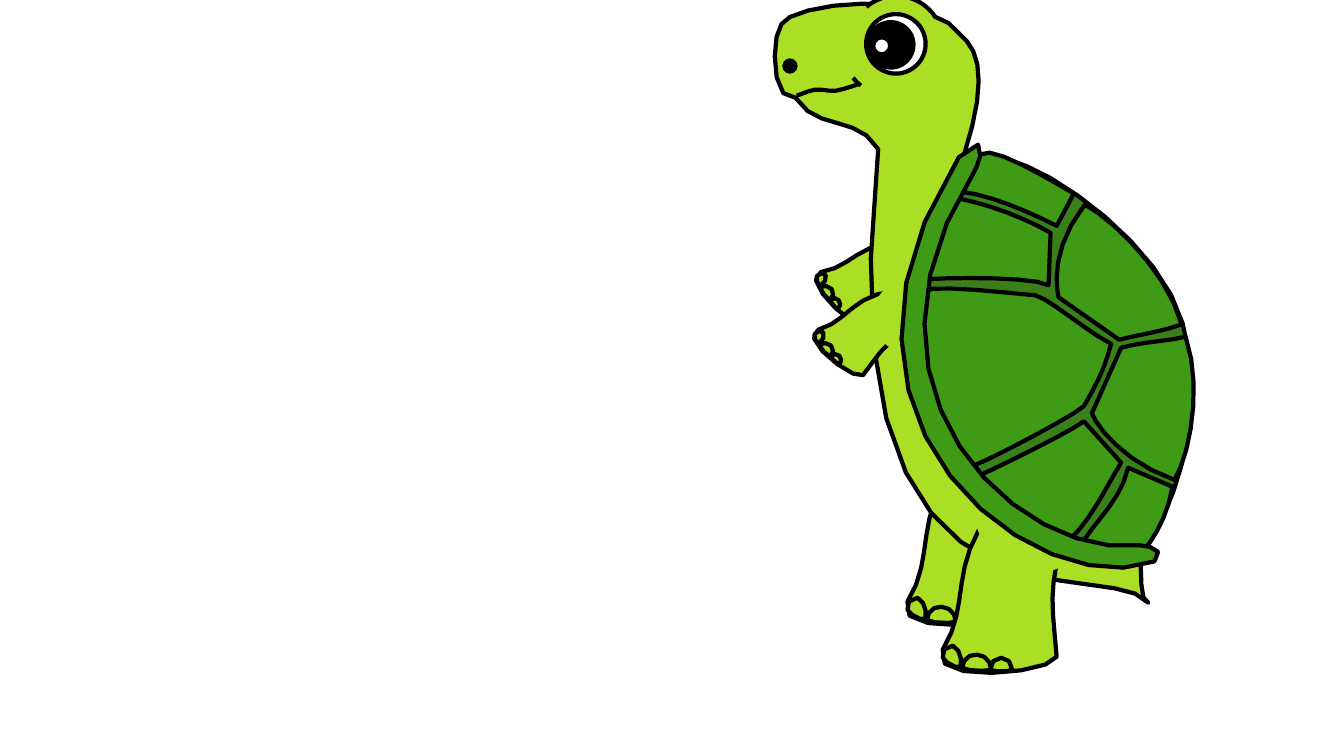
import dataclasses
import math
import typing

import pptx
import pptx.dml.color
import pptx.enum.shapes
import pptx.shapes.base
import pptx.shapes.group
import pptx.util

COLUMNS, ROWS = 1333, 750
CELL = pptx.util.Inches(0.01)
CURVE_COARSENESS = 1.7
ELLIPSE = pptx.enum.shapes.MSO_SHAPE.OVAL
ARC = pptx.enum.shapes.MSO_SHAPE.ARC

Point = tuple[float, float]


@dataclasses.dataclass(frozen=True)
class Theme:
    skin: str = "ABDF25"
    shell: str = "3F9B16"
    seam: str = "3A801A"
    ink: str = "000000"
    white: str = "FFFFFF"
    outline: float = 3


THEME = Theme()


@dataclasses.dataclass(frozen=True)
class Pose:
    right: float = 0
    down: float = 0
    turn: float = 0
    pivot: Point = (0, 0)

    def place(self, point: Point) -> Point:
        angle = math.radians(self.turn)
        x, y = point[0] - self.pivot[0], point[1] - self.pivot[1]
        return (
            self.pivot[0] + self.right + x * math.cos(angle) - y * math.sin(angle),
            self.pivot[1] + self.down + x * math.sin(angle) + y * math.cos(angle),
        )


@dataclasses.dataclass(frozen=True)
class Outline:
    segments: str
    fill: typing.Optional[str] = THEME.skin
    closed: bool = True


@dataclasses.dataclass(frozen=True)
class Preset:
    kind: pptx.enum.shapes.MSO_SHAPE
    column: float
    row: float
    width: float
    height: float
    fill: typing.Optional[str] = THEME.skin
    outlined: bool = True
    rotation: float = 0
    adjustments: tuple[float, ...] = ()


Part = typing.Union[Outline, Preset]

ARM = [
    Outline("877 242; 916 235 909 251 929 264; 922 270; 876 292 877 295 853 320; "
            "844 325 793 276 814 270; 840 266 849 247 877 242"),
    Outline("823 298; 826 295 830 295 832 298; 834 300 834 305 831 307; 830 307 823 299 823 298"),
    Outline("813 285; 817 283 822 283 825 287; 827 290 827 295 823 298; 821 298 813 287 813 285"),
    Outline("810 274; 811 272 818 269 819 273; 820 277 818 281 813 284; 811 284 809 275 810 274"),
]

LEG = [
    Outline("936 478; 974 419 986 446 1028 435; 1028 452; 1003 540 1008 542 1013 604; "
            "1008 621 883 632 900 597; 925 557 910 523 936 478"),
    Outline("947 617; 947 610 952 605 958 605; 964 605 969 610 969 617; 968 619 949 619 947 617"),
    Outline("919 615; 920 607 926 601 934 602; 942 602 948 609 948 617; 945 619 921 618 919 615"),
    Outline("900 605; 898 602 903 590 910 593; 917 597 919 605 918 614; 915 617 901 609 900 605"),
]

HEAD_AND_BODY = [
    Outline("775 24; 782 5 922 -17 959 41; 974 58 976 92 956 154; 890 339 1082 380 1112 454; "
            "1143 528 1123 594 1139 598; 1099 547 814 666 871 148; 851 113 810 131 789 97; "
            "764 102 765 36 775 24"),
    Preset(ARC, 843, -4, 92, 92, rotation=325.8, adjustments=(158.34, 1.49)),
    Preset(ELLIPSE, 859, 14, 59, 59, THEME.white),
    Preset(ELLIPSE, 778, 60, 11, 11, THEME.ink),
    Outline("790 95; 796 93 802 90 808 89; 815 88 822 91 829 90; 836 89 847 85 850 84; 851 83",
            None, False),
    Preset(ARC, 841, 31, 59, 59, None, rotation=145.7, adjustments=(203.25, 0)),
]

PUPIL = [Preset(ELLIPSE, 861, 22, 45, 45, THEME.ink)]

JOINTS = [
    Preset(ELLIPSE, 866, 280, 59, 68, outlined=False),
    Preset(ELLIPSE, 985, 481, 59, 101, outlined=False, rotation=298.3),
]

SHELL_BASE = [
    Outline("983 158; 1017 148 1150 236 1173 321; 1197 406 1165 510 1135 539; "
            "1074 567 963 521 925 398; 886 275 948 168 983 158", THEME.seam),
]

SHELL_PLATES = [
    Outline(segments, THEME.shell)
    for segments in (
        "1076 203; 1103 217 1159 271 1172 322; 1152 329 1130 332 1110 337; 1050 295; "
        "1047 283 1043 245 1076 203",
        "1165 476; 1180 451 1193 384 1176 334; 1156 339 1132 339 1112 345; 1083 410; "
        "1087 422 1115 459 1165 476",
        "973 153; 983 143 1041 178 1065 192; 1048 224; 1020 210 984 194 953 190; "
        "955 185 953 166 973 153",
        "951 197; 982 203 1018 217 1042 231; 1040 283; 1028 275 949 275 921 277; "
        "919 271 932 210 951 197",
        "1075 403; 1090 377 1096 364 1102 341; 1079 330 1042 297 1027 293; "
        "1012 292 921 281 917 289; 910 343 916 409 959 464; 961 467 1063 414 1075 403",
        "1059 537; 1082 517 1097 483 1112 459; 1075 418; 1064 427 997 460 971 472; "
        "973 478 1035 536 1059 537",
        "1136 544; 1145 533 1158 512 1163 483; 1119 464; 1112 495 1090 513 1073 539; "
        "1078 541 1114 551 1136 544",
    )
]

SHELL_RIM = [
    Outline("951 156; 982 124 972 162 968 167; 826 389 1013 556 1130 541; "
            "1138 541 1158 545 1145 557; 1032 600 782 421 951 156", THEME.shell),
]

GLINT = [Preset(ELLIPSE, 866, 37, 17, 17, THEME.white)]

STILL = Pose()
FRONT_LEG = Pose(right=35, down=47.5)
FRONT_ARM = Pose(right=-3, down=51, turn=-6.9, pivot=(866.5, 271))

LAYERS: list[tuple[list[Part], Pose]] = [
    (ARM, STILL),
    (LEG, STILL),
    (HEAD_AND_BODY, STILL),
    (LEG, FRONT_LEG),
    (PUPIL, STILL),
    (ARM, FRONT_ARM),
    (JOINTS + SHELL_BASE + SHELL_PLATES + SHELL_RIM + GLINT, STILL),
]


def trace(segments: str) -> list[Point]:
    points: list[Point] = []
    for segment in segments.split(";"):
        numbers = [float(number) for number in segment.split()]
        pairs = list(zip(numbers[::2], numbers[1::2]))
        if len(pairs) == 1:
            points.append(pairs[0])
            continue
        controls = [points[-1], *pairs]
        chord = math.dist(controls[0], controls[-1])
        steps = max(2, round(math.sqrt(chord) / CURVE_COARSENESS))
        for step in range(1, steps + 1):
            t = step / steps
            weights = [math.comb(3, k) * t**k * (1 - t) ** (3 - k) for k in range(4)]
            points.append((
                sum(weight * control[0] for weight, control in zip(weights, controls)),
                sum(weight * control[1] for weight, control in zip(weights, controls)),
            ))
    return points


def paint(shape: pptx.shapes.base.BaseShape, fill: typing.Optional[str], outlined: bool) -> None:
    shape.shadow.inherit = False
    if fill is None:
        shape.fill.background()
    else:
        shape.fill.solid()
        shape.fill.fore_color.rgb = pptx.dml.color.RGBColor.from_string(fill)
    if outlined:
        shape.line.color.rgb = pptx.dml.color.RGBColor.from_string(THEME.ink)
        shape.line.width = pptx.util.Pt(THEME.outline)
    else:
        shape.line.fill.background()


def draw_outline(group: pptx.shapes.group.GroupShape, outline: Outline, pose: Pose) -> None:
    places = [pose.place(point) for point in trace(outline.segments)]
    points = [(round(x * CELL), round(y * CELL)) for x, y in places]
    builder = group.shapes.build_freeform(*points[0])
    builder.add_line_segments(points[1:], close=outline.closed)
    paint(builder.convert_to_shape(), outline.fill, True)


def draw_preset(group: pptx.shapes.group.GroupShape, preset: Preset) -> None:
    lengths = (preset.column, preset.row, preset.width, preset.height)
    shape = group.shapes.add_shape(preset.kind, *(round(length * CELL) for length in lengths))
    shape.rotation = preset.rotation
    for index, adjustment in enumerate(preset.adjustments):
        shape.adjustments[index] = adjustment
    paint(shape, preset.fill, preset.outlined)


def main() -> None:
    presentation = pptx.Presentation()
    presentation.slide_width = COLUMNS * CELL
    presentation.slide_height = ROWS * CELL
    slide = presentation.slides.add_slide(presentation.slide_layouts[6])
    turtle = slide.shapes.add_group_shape()
    for parts, pose in LAYERS:
        for part in parts:
            if isinstance(part, Outline):
                draw_outline(turtle, part, pose)
            else:
                draw_preset(turtle, part)
    presentation.save("out.pptx")


if __name__ == "__main__":
    main()
